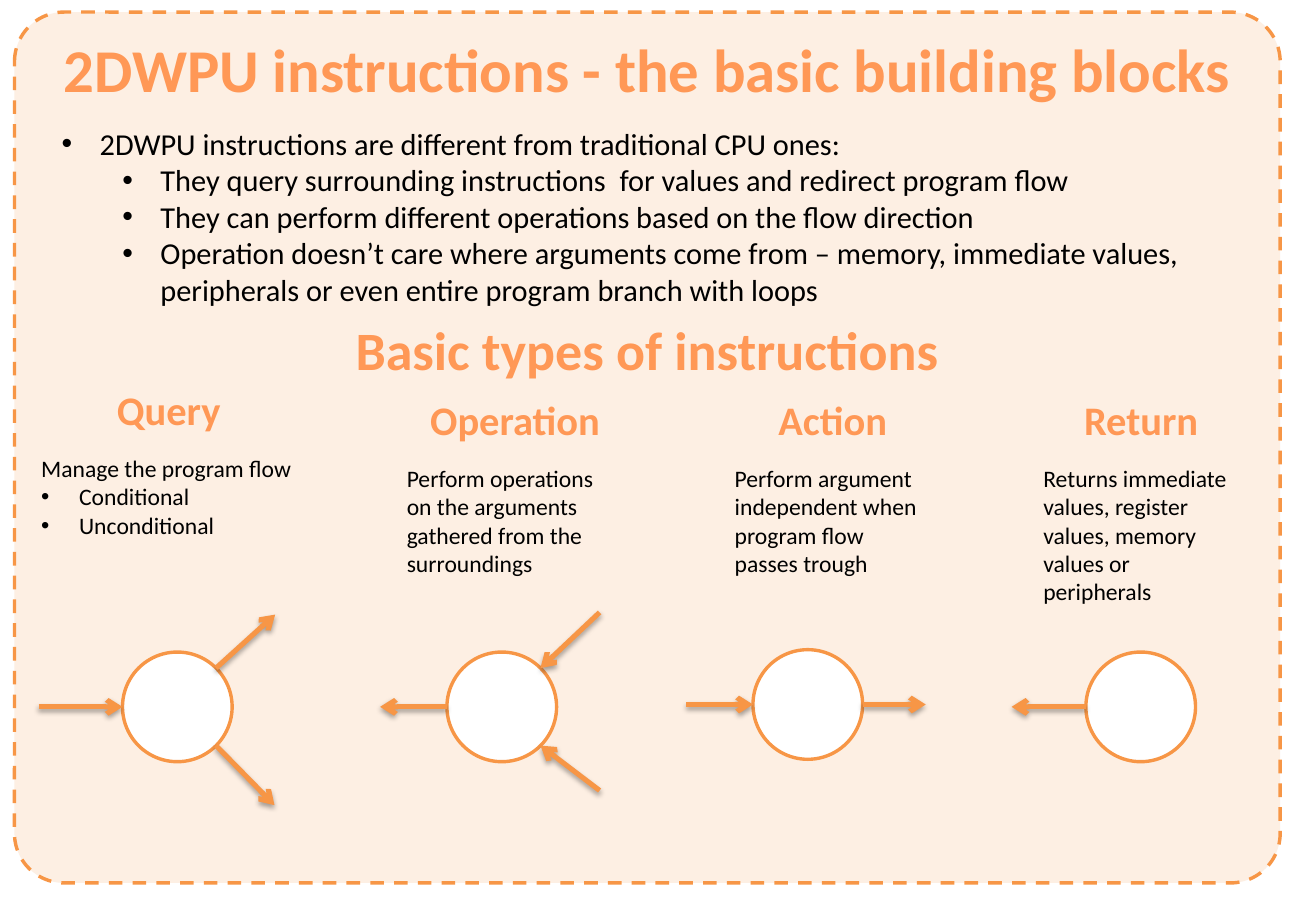
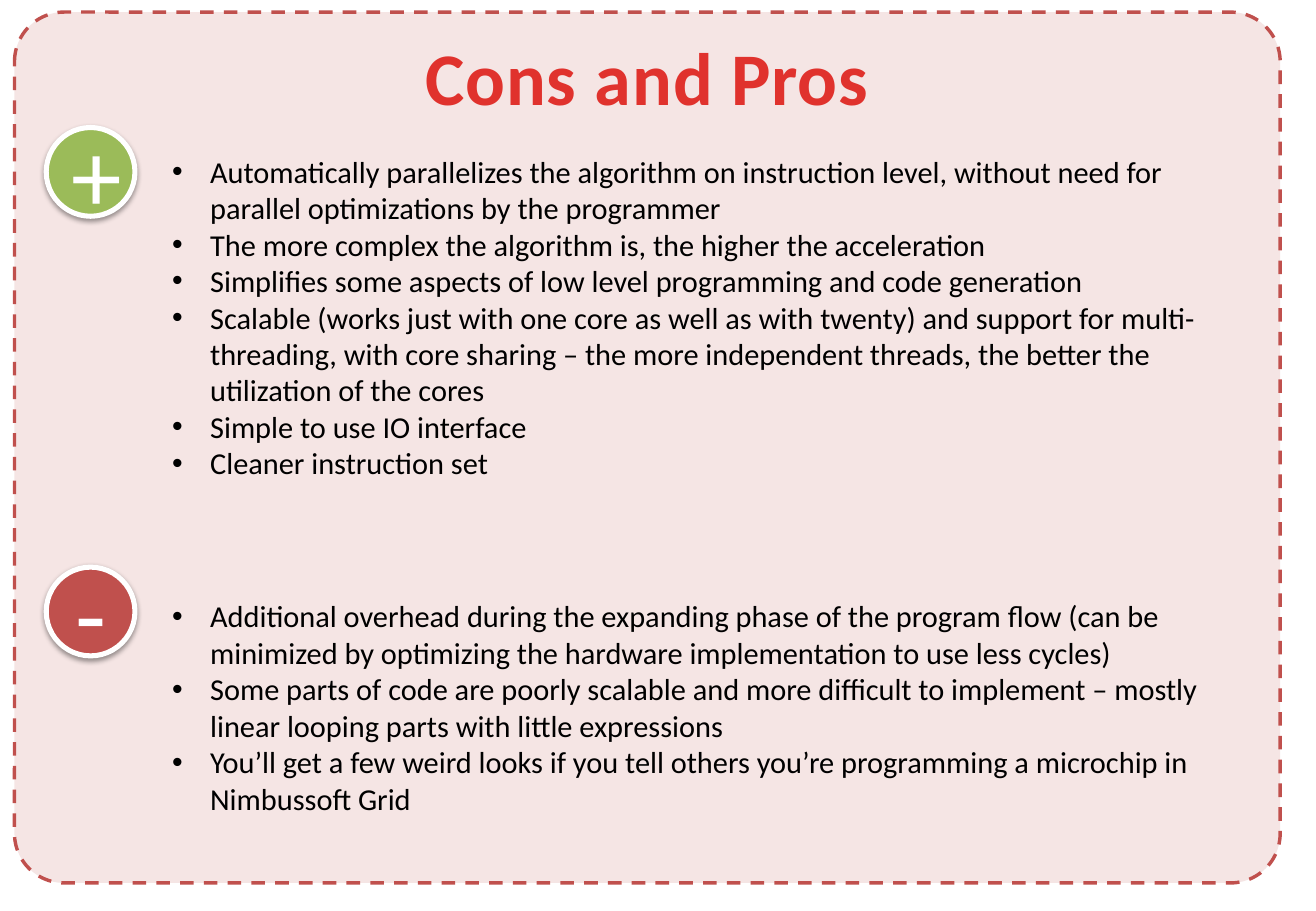
import math
import pptx
import pptx.util
import pptx.dml.color
import pptx.enum.dml
import pptx.enum.shapes
import pptx.enum.text
import pptx.oxml
import pptx.oxml.ns

Pt = pptx.util.Pt
Shape = pptx.enum.shapes.MSO_SHAPE
Align = pptx.enum.text.PP_ALIGN
Anchor = pptx.enum.text.MSO_ANCHOR


class Theme:
    font = "Calibri"
    ink, white = "000000", "FFFFFF"
    orange, peach, head = "F79646", "FDEADA", "FF9856"
    red, rose, alarm = "C0504D", "F2DCDB", "E0322D"
    green = "9BBB59"
    big, title, sub, type, body, note, sign = 44, 36, 32, 24, 18, 14, 60
    rule, bold = 2, 3


PAGE = (780, 540)
CARD = (8.6, 7.2, 750.2, 516.2)
DISC = 65
BADGE = 52.6
INDENT = 22.5
STEP = 36

INTRO = [
    ("2DWPU instructions are different from traditional CPU ones:", 0),
    ("They query surrounding instructions  for values and redirect program flow", 1),
    ("They can perform different operations based on the flow direction", 1),
    ("Operation doesn’t care where arguments come from – memory, immediate values, "
     "peripherals or even entire program branch with loops", 1),
]

W, E, NE, SE = 180, 0, -45, 45

TYPES = [
    dict(name="Query", mid=100, top=224.6, note=(17.3, 170), disc=(105.1, 419),
         rows=[("Manage the program flow", None), ("Conditional", 0), ("Unconditional", 0)],
         flow=[(W, -49.7, 0, "in"), (NE, 35, -31.7, "out"), (SE, 34.6, 35.3, "out")]),
    dict(name="Operation", mid=305.3, top=230.4, note=(234, 142.6), disc=(297.4, 419),
         rows=[("Perform operations on the arguments gathered from the surroundings", None)],
         flow=[(W, -39.6, 0, "out"), (NE, 35, -33, "in"), (SE, 35, 26.6, "in")]),
    dict(name="Action", mid=493.6, top=230.4, note=(428.4, 130.3), disc=(478.8, 417.6),
         rows=[("Perform argument independent when program flow passes trough", None)],
         flow=[(W, -39.6, 0, "in"), (E, 37.4, 0, "out")]),
    dict(name="Return", mid=676.4, top=230.4, note=(611.3, 130.3), disc=(676.1, 419),
         rows=[("Returns immediate values, register values, memory values or peripherals", None)],
         flow=[(W, -44, 0, "out")]),
]

SIDES = [
    dict(sign="+", fill=Theme.green, badge=75.6, top=87.1, rows=[
        "Automatically parallelizes the algorithm on instruction level, without need for "
        "parallel optimizations by the programmer",
        "The more complex the algorithm is, the higher the acceleration",
        "Simplifies some aspects of low level programming and code generation",
        "Scalable (works just with one core as well as with twenty) and support for "
        "multi-threading, with core sharing – the more independent threads, the better "
        "the utilization of the cores",
        "Simple to use IO interface",
        "Cleaner instruction set",
    ]),
    dict(sign="-", fill=Theme.red, badge=336.2, top=350.7, rows=[
        "Additional overhead during the expanding phase of the program flow (can be "
        "minimized by optimizing the hardware implementation to use less cycles)",
        "Some parts of code are poorly scalable and more difficult to implement – mostly "
        "linear looping parts with little expressions",
        "You’ll get a few weird looks if you tell others you’re programming a microchip "
        "in Nimbussoft Grid",
    ]),
]


def rgb(tone):
    return pptx.dml.color.RGBColor.from_string(tone)


def node(owner, tag, **attrs):
    item = pptx.oxml.parse_xml(f"<a:{tag} {pptx.oxml.ns.nsdecls('a')}/>")
    for key, value in attrs.items():
        item.set(key, str(value))
    owner.append(item)
    return item


def cast(shape, blur, dist, alpha):
    effect = node(shape.element.spPr, "effectLst")
    shade = node(effect, "outerShdw", blurRad=Pt(blur), dist=Pt(dist),
                 dir=90 * 60000, rotWithShape=0)
    node(node(shade, "srgbClr", val=Theme.ink), "alpha", val=alpha * 1000)


def write(frame, rows, size, tone, bold=False, align=Align.LEFT):
    for i, (text, level) in enumerate(rows):
        para = frame.paragraphs[0] if i == 0 else frame.add_paragraph()
        para.text = text
        para.alignment = align
        font = para.runs[0].font
        font.name, font.size, font.bold = Theme.font, Pt(size), bold
        font.color.rgb = rgb(tone)
        if level is not None:
            para.level = level
            props = para._p.get_or_add_pPr()
            props.set("marL", str(Pt(INDENT + STEP * level)))
            props.set("indent", str(Pt(-INDENT)))
            node(props, "buFont", typeface="Arial")
            node(props, "buChar", char="•")


def box(slide, rect, rows, size, tone=Theme.ink, **style):
    frame = slide.shapes.add_textbox(*map(Pt, rect)).text_frame
    frame.word_wrap = True
    write(frame, rows, size, tone, **style)


def solid(slide, kind, rect, fill, line, width):
    shape = slide.shapes.add_shape(kind, *map(Pt, rect))
    shape.fill.solid()
    shape.fill.fore_color.rgb = rgb(fill)
    shape.line.color.rgb = rgb(line)
    shape.line.width = Pt(width)
    return shape


def start(deck, text, size, tone, fill, line, space=0):
    slide = deck.slides.add_slide(deck.slide_layouts[5])
    card = solid(slide, Shape.ROUNDED_RECTANGLE, CARD, fill, line, Theme.rule)
    card.adjustments[0] = 0.057
    card.shadow.inherit = False
    card.line.dash_style = pptx.enum.dml.MSO_LINE.DASH
    paint = card.element.spPr.find(pptx.oxml.ns.qn("a:solidFill"))
    node(paint[0], "alpha", val=74000)
    title = slide.shapes.title
    title.element.addprevious(card.element)
    title.left, title.top = Pt(CARD[0]), Pt(15)
    title.width, title.height = Pt(CARD[2]), Pt(size * 1.22 + 7.2)
    frame = title.text_frame
    frame.auto_size = pptx.enum.text.MSO_AUTO_SIZE.NONE
    frame.vertical_anchor = Anchor.TOP
    write(frame, [(text, None)], size, tone, bold=True, align=Align.CENTER)
    if space:
        frame.paragraphs[0].runs[0]._r.get_or_add_rPr().set("spc", str(space))
    return slide


def arrow(slide, tail, tip):
    line = slide.shapes.add_connector(
        pptx.enum.shapes.MSO_CONNECTOR.STRAIGHT, *map(Pt, tail + tip))
    line.line.color.rgb = rgb(Theme.orange)
    line.line.width = Pt(Theme.bold)
    node(line.line._get_or_add_ln(), "tailEnd", type="arrow")
    cast(line, 3.1, 1.8, 35)


def column(slide, item):
    head = dict(tone=Theme.head, bold=True, align=Align.CENTER)
    box(slide, (item["mid"] - 65, item["top"], 130, 36),
        [(item["name"], None)], Theme.type, **head)
    left, width = item["note"]
    box(slide, (left, item["top"] + 41, width, 75), item["rows"], Theme.note)
    x, y = item["disc"]
    half = DISC / 2
    disc = solid(slide, Shape.OVAL, (x - half, y - half, DISC, DISC),
                 Theme.white, Theme.orange, Theme.rule)
    disc.shadow.inherit = False
    for angle, dx, dy, way in item["flow"]:
        turn = math.radians(angle)
        near = (x + half * math.cos(turn), y + half * math.sin(turn))
        far = (near[0] + dx, near[1] + dy)
        arrow(slide, *((far, near) if way == "in" else (near, far)))


def blocks(deck):
    slide = start(deck, "2DWPU instructions - the basic building blocks",
                  Theme.title, Theme.head, Theme.peach, Theme.orange)
    box(slide, (29.5, 70.6, 706.3, 138), INTRO, Theme.body)
    box(slide, (CARD[0], 184.3, CARD[2], 46), [("Basic types of instructions", None)],
        Theme.sub, Theme.head, bold=True, align=Align.CENTER)
    for item in TYPES:
        column(slide, item)


def sides(deck):
    slide = start(deck, "Cons and Pros", Theme.big, Theme.alarm,
                  Theme.rose, Theme.red, space=50)
    for side in SIDES:
        badge = solid(slide, Shape.OVAL, (27.4, side["badge"], BADGE, BADGE),
                      side["fill"], Theme.white, Theme.bold)
        cast(badge, 3.1, 1.6, 38)
        badge.text_frame.vertical_anchor = Anchor.MIDDLE
        write(badge.text_frame, [(side["sign"], None)], Theme.sign,
              Theme.white, align=Align.CENTER)
        box(slide, (95, side["top"], 652.3, 140),
            [(text, 0) for text in side["rows"]], Theme.body)


def main():
    deck = pptx.Presentation()
    deck.slide_width, deck.slide_height = map(Pt, PAGE)
    blocks(deck)
    sides(deck)
    deck.save("out.pptx")


if __name__ == "__main__":
    main()
